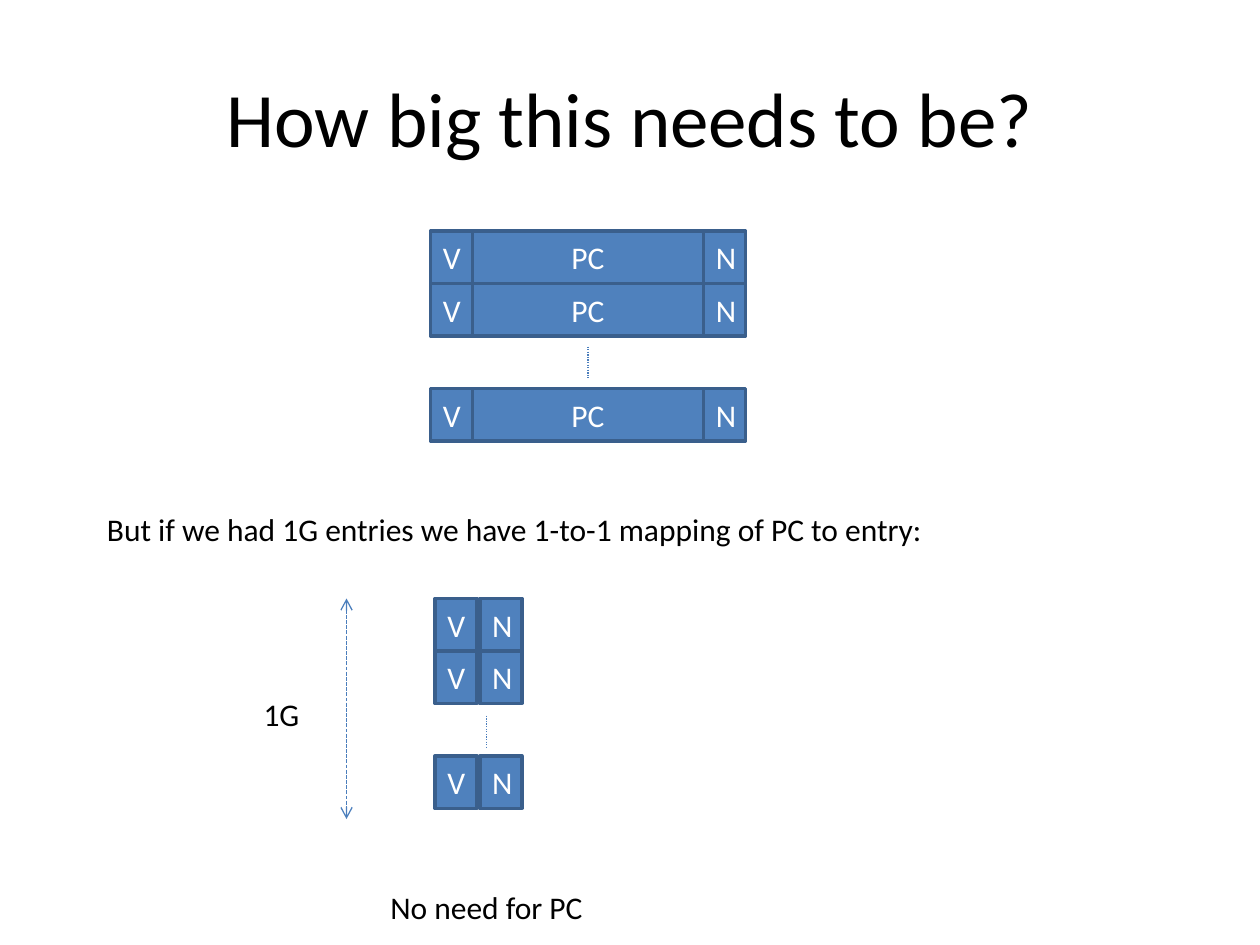
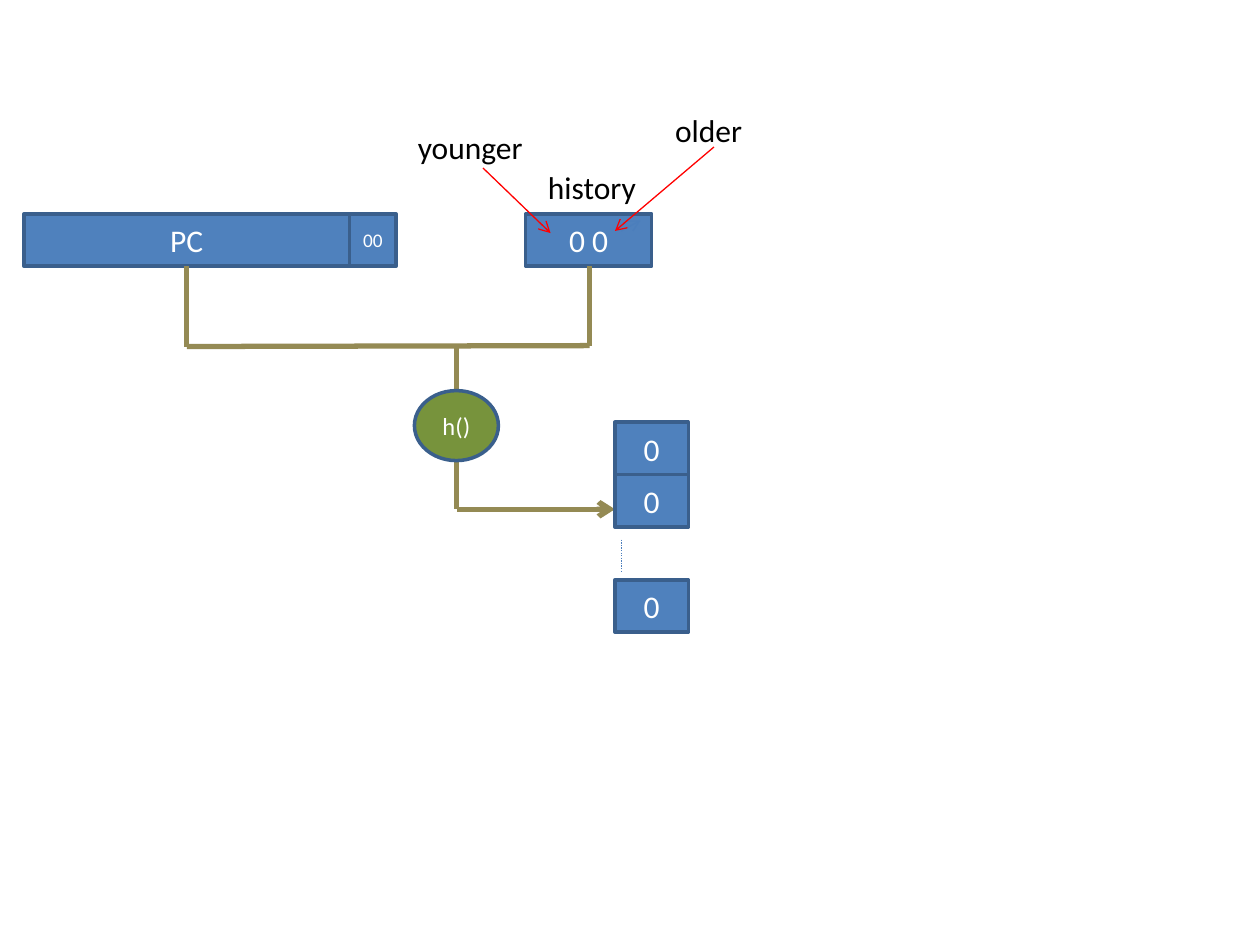
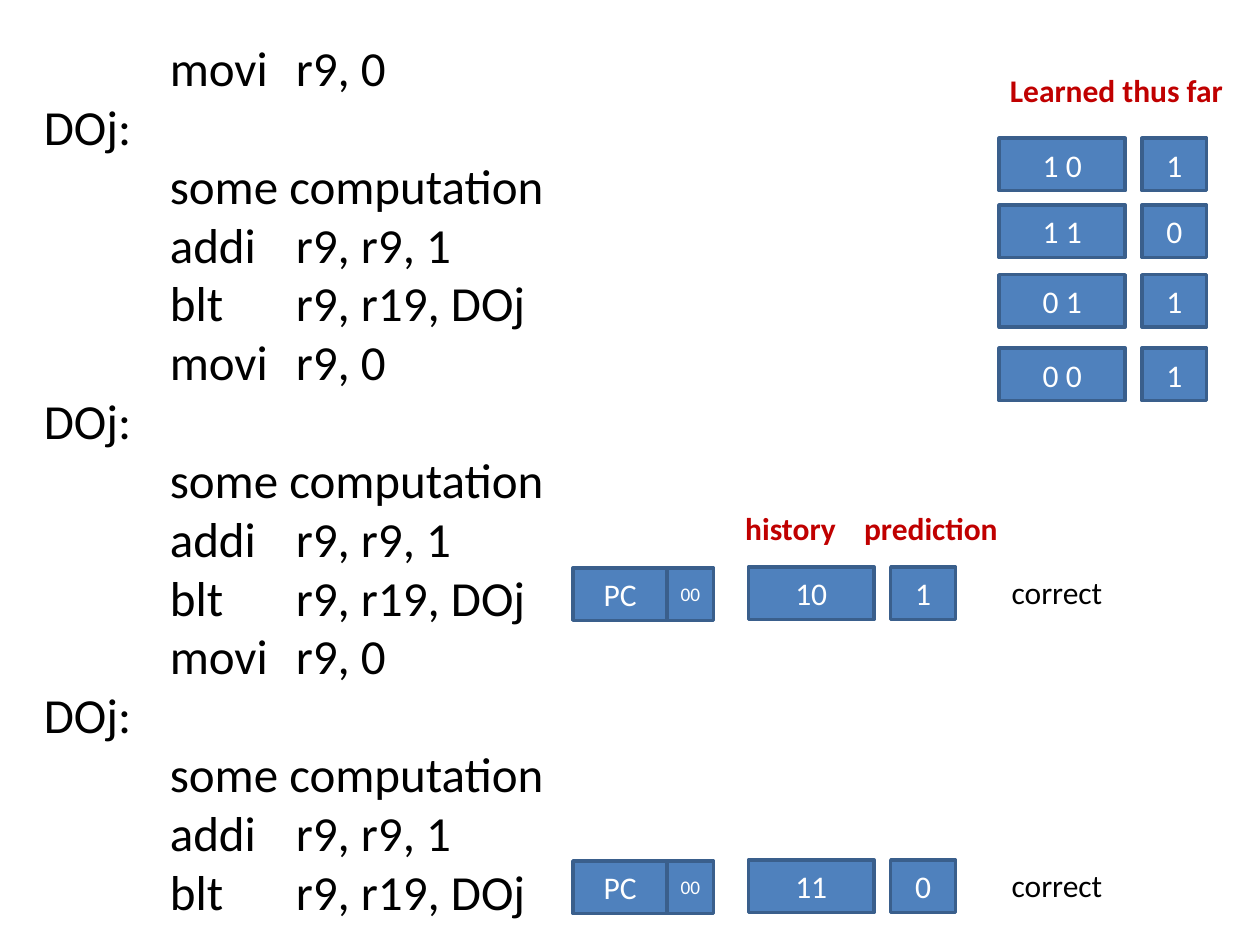
from pptx import Presentation
from pptx.dml.color import RGBColor
from pptx.enum import dml, shapes, text
from pptx.oxml.ns import qn
from pptx.util import Pt
from lxml import etree

BLUE = RGBColor(0x4F, 0x81, 0xBD)
BORDER = RGBColor(0x3A, 0x5F, 0x8C)
THIN = RGBColor(0x4B, 0x7E, 0xBC)
OLIVE = RGBColor(0x94, 0x8A, 0x54)
GREEN = RGBColor(0x77, 0x93, 0x3C)
RED = RGBColor(0xFF, 0x00, 0x00)
DARK_RED = RGBColor(0xC0, 0x00, 0x00)
WHITE = RGBColor(0xFF, 0xFF, 0xFF)
BLACK = RGBColor(0x00, 0x00, 0x00)
FONT = "Calibri"
CELL_HEIGHT = 30
LABEL_HEIGHT = 29
DOTS = dml.MSO_LINE.ROUND_DOT
DASHES = dml.MSO_LINE.SQUARE_DOT
RECT = shapes.MSO_SHAPE.RECTANGLE
OVAL = shapes.MSO_SHAPE.OVAL


def put(page, words, left, top, width, height=CELL_HEIGHT, shape=RECT, fill=BLUE,
        size=18, color=WHITE, bold=False, wrap=True):
    area = Pt(left), Pt(top), Pt(width), Pt(height)
    if shape is None:
        box = page.shapes.add_textbox(*area)
    else:
        box = page.shapes.add_shape(shape, *area)
        box.shadow.inherit = False
        box.fill.solid()
        box.fill.fore_color.rgb = fill
        box.line.color.rgb = BORDER
        box.line.width = Pt(2)
        box.text_frame.vertical_anchor = text.MSO_ANCHOR.MIDDLE
    box.text_frame.word_wrap = wrap
    box.text_frame.text = words
    for para in box.text_frame.paragraphs:
        para.alignment = text.PP_ALIGN.LEFT if shape is None else text.PP_ALIGN.CENTER
        para.font.name = FONT
        para.font.size = Pt(size)
        para.font.bold = bold
        para.font.color.rgb = color
    return box


def link(page, start, end, color=THIN, width=0.75, dash=None, arrows=()):
    points = [Pt(value) for value in (*start, *end)]
    line = page.shapes.add_connector(shapes.MSO_CONNECTOR.STRAIGHT, *points)
    line.line.color.rgb = color
    line.line.width = Pt(width)
    if dash:
        line.line.dash_style = dash
    for arrow in arrows:
        etree.SubElement(line.get_or_add_ln(), qn(f"a:{arrow}"), type="arrow")
    etree.SubElement(line._element.spPr, qn("a:effectLst"))


deck = Presentation()
deck.slide_width = Pt(720)
deck.slide_height = Pt(540)
blank = deck.slide_layouts[6]
label = dict(height=LABEL_HEIGHT, shape=None, color=BLACK, wrap=False)
red_label = {**label, "color": DARK_RED, "bold": True}

page = deck.slides.add_slide(blank)
title = put(page, "How big this needs to be?", 36, 21.6, 648, 90, shape=None, size=44, color=BLACK)
title.text_frame.vertical_anchor = text.MSO_ANCHOR.MIDDLE
title.text_frame.paragraphs[0].alignment = text.PP_ALIGN.CENTER

full_entry = [("PC", 270, 132), ("V", 246, 24), ("N", 402, 24)]
short_entry = [("V", 248.5, 24), ("N", 274.2, 24)]
for entry, table_top, dots_x, dots_top in [(full_entry, 132, 336, 198), (short_entry, 342, 278, 409)]:
    for row in (0, 1, 3):
        for name, left, width in entry:
            put(page, name, left, table_top + row * CELL_HEIGHT, width)
    link(page, (dots_x, dots_top), (dots_x, dots_top + 18), dash=DOTS)

put(page, "But if we had 1G entries we have 1-to-1 mapping of PC to entry:", 54, 288, 486, **label)
put(page, "No need for PC", 216, 504, 126, **label)
link(page, (198, 342), (198, 468), dash=DASHES, arrows=("headEnd", "tailEnd"))
put(page, "1G", 143.5, 393.4, 35, **label)

page = deck.slides.add_slide(blank)
link(page, (261, 198), (261, 291), OLIVE, 3)
link(page, (261, 291), (351.4, 291), OLIVE, 3, arrows=("tailEnd",))
for row in (0, 1, 3):
    put(page, "0", 351.4, 241.3 + row * CELL_HEIGHT, 42)
link(page, (355, 308.4), (355, 326.4), dash=DOTS)
put(page, "PC", 13.7, 122.2, 186)
put(page, "00", 199.8, 122.2, 26.6, size=11)
put(page, "h()", 236.8, 223.2, 48, 40, shape=OVAL, fill=GREEN, size=14)
link(page, (106.8, 152), (106.8, 198), OLIVE, 3)
link(page, (106.8, 198), (337, 197.5), OLIVE, 3)
put(page, "0 0", 300.4, 122.2, 72)
link(page, (337, 152), (337, 197.5), OLIVE, 3)
put(page, "history", 306, 92.7, 65.5, **label)
link(page, (355, 132), (366, 126), arrows=("tailEnd",))
link(page, (408, 84), (351.4, 132), RED, arrows=("tailEnd",))
link(page, (276, 96), (314.6, 133.2), RED, arrows=("tailEnd",))
put(page, "younger", 231.7, 69.7, 75, **label)
put(page, "older", 378.7, 60, 53, **label)

page = deck.slides.add_slide(blank)
loop_code = ["\tmovi\tr9, 0", "DOj:", "\tsome computation", "\taddi\tr9, r9, 1", "\tblt\tr9, r19, DOj"]
listing = put(page, "\n".join(loop_code * 3), 18, 18, 305, 520, shape=None, size=28, color=BLACK)
for para in listing.text_frame.paragraphs:
    tabs = etree.Element(qn("a:tabLst"))
    for stop in (72, 144):
        etree.SubElement(tabs, qn("a:tab"), pos=str(Pt(stop)), algn="l")
    para._p.get_or_add_pPr().insert(0, tabs)

put(page, "Learned thus far", 570, 37, 137.5, **red_label)
learned = [("1 0", "1", 79), ("1 1", "0", 117.2), ("0 1", "1", 157), ("0 0", "1", 199)]
for history, prediction, top in learned:
    put(page, history, 571, top, 72)
    put(page, prediction, 652.5, top, 37)

put(page, "history", 418.8, 287.5, 67, **red_label)
put(page, "prediction", 486.7, 287.5, 91.5, **red_label)
for history, prediction, top in [("10", "1", 324), ("11", "0", 491.5)]:
    put(page, "PC", 327.4, top + 0.5, 54)
    put(page, "00", 381.2, top + 0.5, 26.6, size=11)
    put(page, history, 427.6, top, 72)
    put(page, prediction, 509, top, 37)
    put(page, "correct", 571, top, 67, **label)

deck.save("out.pptx")
